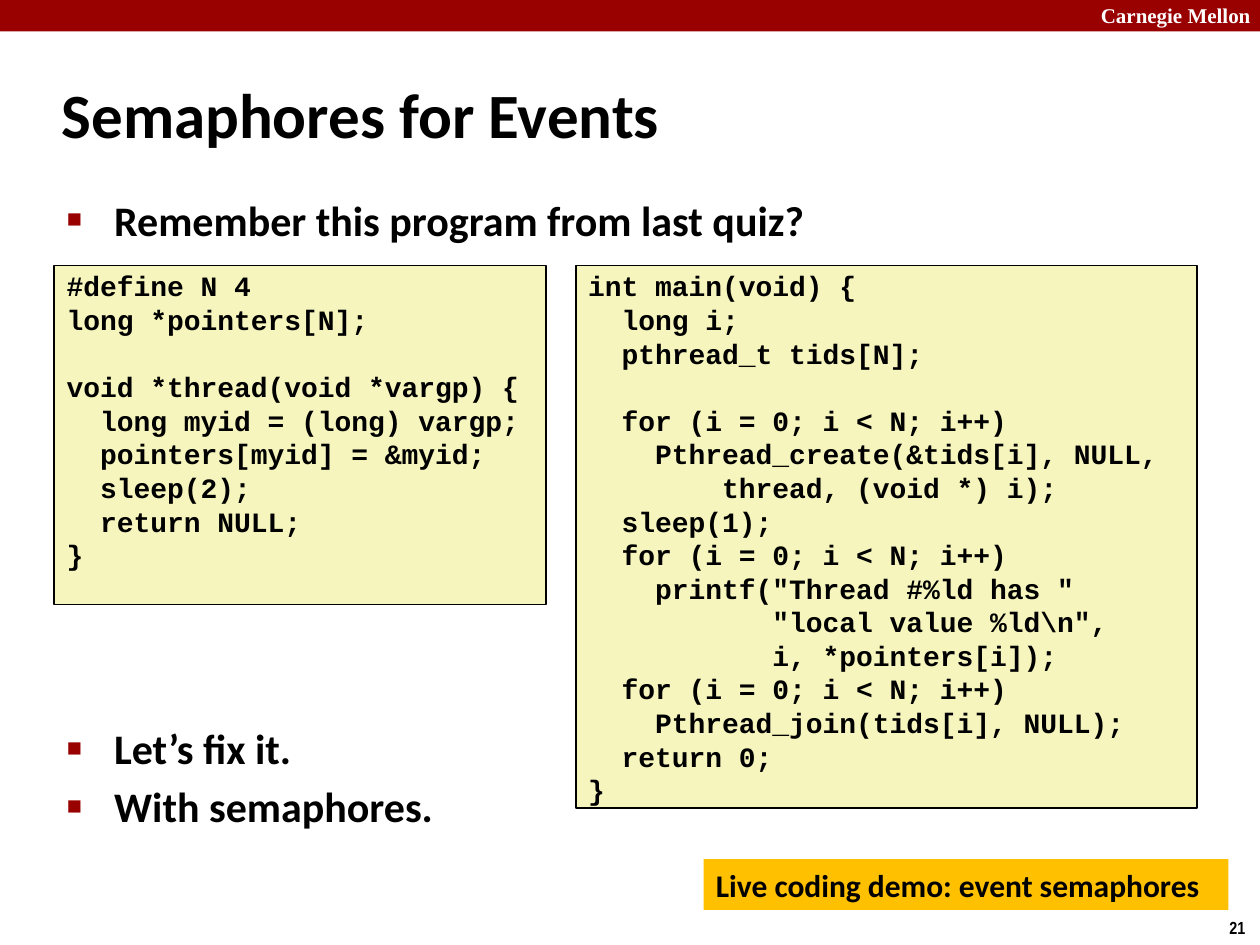
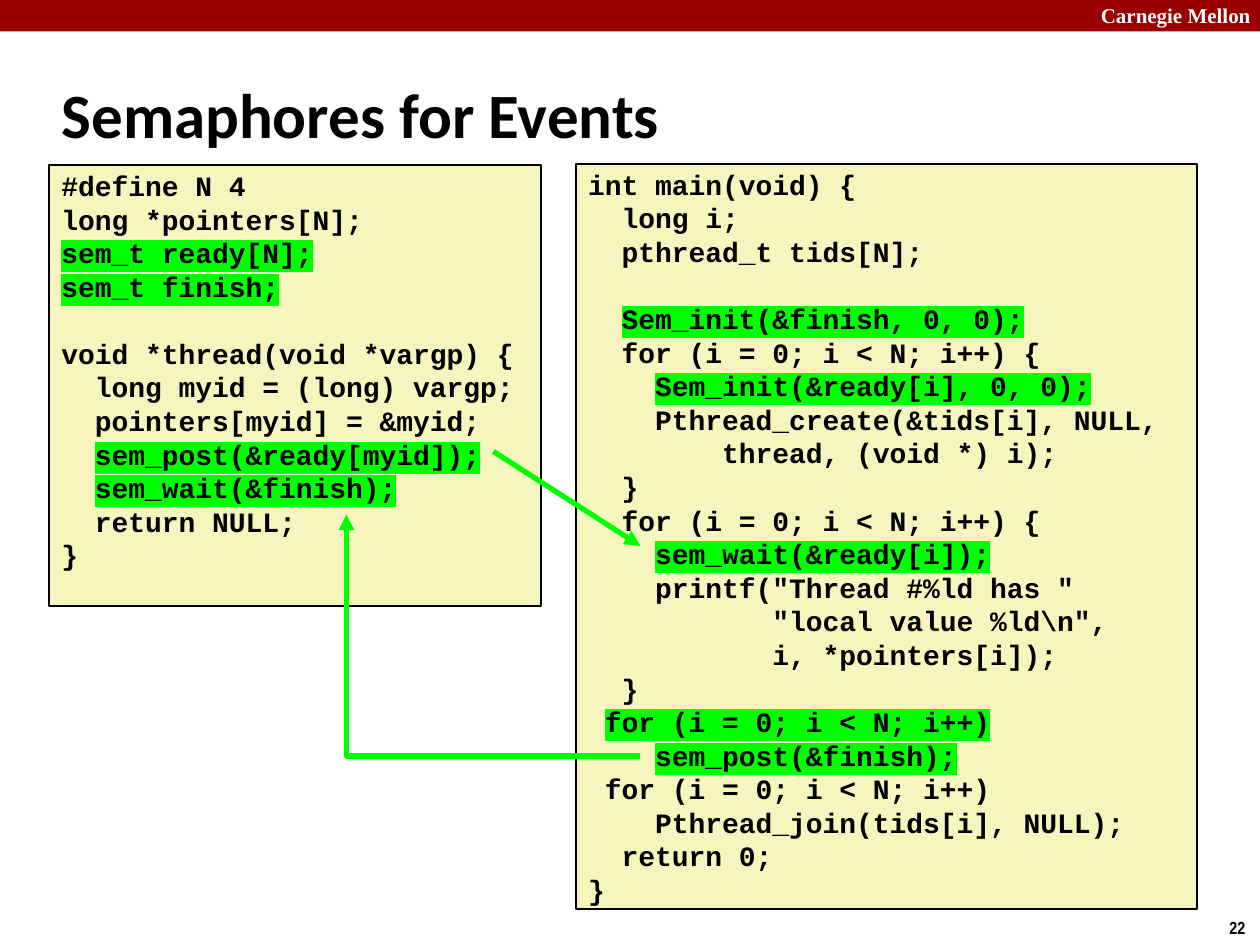
import pptx
import pptx.dml.color
import pptx.enum.shapes
import pptx.enum.text
import pptx.oxml
import pptx.oxml.ns
import pptx.util

Pt = pptx.util.Pt
qn = pptx.oxml.ns.qn
SHAPE = pptx.enum.shapes.MSO_SHAPE.RECTANGLE
LINK = pptx.enum.shapes.MSO_CONNECTOR
ANCHOR = pptx.enum.text.MSO_ANCHOR
NONE = pptx.enum.text.MSO_AUTO_SIZE.NONE
LEFT = pptx.enum.text.PP_ALIGN.LEFT

RED, CREAM, GOLD, GREEN = "990000", "F6F5BD", "FFC000", "00FF00"
BLACK, WHITE = "000000", "FFFFFF"

HEAD = {"name": "Calibri", "size": Pt(36), "bold": True}
LIST = {"name": "Calibri", "size": Pt(24), "bold": True}
DEMO = {"name": "Calibri", "size": Pt(18), "bold": True}
CODE = {"name": "Courier New", "size": Pt(16), "bold": True}
MARK = {"name": "Times New Roman", "size": Pt(12), "bold": True}
PAGE = {"name": "Arial Narrow", "size": Pt(10), "bold": True}

TITLE = "Semaphores for Events"

THREAD = """#define N 4
long *pointers[N];

void *thread(void *vargp) {
  long myid = (long) vargp;
  pointers[myid] = &myid;
  sleep(2);
  return NULL;
}"""

MAIN = r"""int main(void) {
  long i;
  pthread_t tids[N];

  for (i = 0; i < N; i++)
    Pthread_create(&tids[i], NULL,
        thread, (void *) i);
  sleep(1);
  for (i = 0; i < N; i++)
    printf("Thread #%ld has "
           "local value %ld\n",
           i, *pointers[i]);
  for (i = 0; i < N; i++)
    Pthread_join(tids[i], NULL);
  return 0;
}"""

THREAD_SEM = """#define N 4
long *pointers[N];
@sem_t ready[N];
@sem_t finish;

void *thread(void *vargp) {
  long myid = (long) vargp;
  pointers[myid] = &myid;
  @sem_post(&ready[myid]);
  @sem_wait(&finish);
  return NULL;
}"""

MAIN_SEM = r"""int main(void) {
  long i;
  pthread_t tids[N];

  @Sem_init(&finish, 0, 0);
  for (i = 0; i < N; i++) {
    @Sem_init(&ready[i], 0, 0);
    Pthread_create(&tids[i], NULL,
        thread, (void *) i);
  }
  for (i = 0; i < N; i++) {
    @sem_wait(&ready[i]);
    printf("Thread #%ld has "
           "local value %ld\n",
           i, *pointers[i]);
  }
 @for (i = 0; i < N; i++)
    @sem_post(&finish);
 for (i = 0; i < N; i++)
    Pthread_join(tids[i], NULL);
  return 0;
}"""


def paint(target, tone):
    """Give a fill, line or font colour format a solid hex colour."""
    if hasattr(target, "solid"):
        target.solid()
        target = target.fore_color
    else:
        target = target.color
    target.rgb = pptx.dml.color.RGBColor.from_string(tone)


def style(font, look, tone=BLACK):
    """Apply a dict of font values and a colour."""
    for key, value in look.items():
        setattr(font, key, value)
    paint(font, tone)


def write(para, text, look, tone=BLACK):
    """Add one styled run to a paragraph."""
    run = para.add_run()
    run.text = text
    style(run.font, look, tone)
    return run


def place(shape, box):
    """Move a shape to a box of left, top, width and height in points."""
    for key, value in zip(("left", "top", "width", "height"), box):
        setattr(shape, key, Pt(value))


def frame(shape, **extra):
    """Prepare a text frame and return its first paragraph."""
    look = {"word_wrap": True, "auto_size": NONE, "vertical_anchor": ANCHOR.TOP}
    for key, value in {**look, **extra}.items():
        setattr(shape.text_frame, key, value)
    para = shape.text_frame.paragraphs[0]
    para.alignment = LEFT
    return para


def panel(slide, box, tone, edge=None):
    """Draw a flat filled rectangle, with an edge if one is given."""
    shape = slide.shapes.add_shape(SHAPE, *map(Pt, box))
    shape.shadow.inherit = False
    paint(shape.fill, tone)
    if edge:
        paint(shape.line, edge)
        shape.line.width = Pt(1)
    else:
        shape.line.fill.background()
    return shape


def label(slide, box, text, look, tone=BLACK, wrap=True):
    """Add a one-line text box."""
    shape = slide.shapes.add_textbox(*map(Pt, box))
    write(frame(shape, word_wrap=wrap), text, look, tone)


def base(deck, layout, page):
    """Start a slide with its band, mark, page number and title."""
    slide = deck.slides.add_slide(deck.slide_layouts[layout])
    panel(slide, (0, 0, 720, 18), RED)
    label(slide, (622, -2.2, 103, 21.6), "Carnegie Mellon", MARK, WHITE)
    label(slide, (695.5, 520.5, 24.5, 19.5), str(page), PAGE, wrap=False)
    title = slide.shapes.title
    place(title, (28, 34.5, 598, 60))
    write(frame(title, vertical_anchor=ANCHOR.MIDDLE), TITLE, HEAD)
    return slide


def bullet(para):
    """Give a paragraph a small red square bullet and hanging indent."""
    props = para._p.get_or_add_pPr()
    props.set("marL", str(Pt(27)))
    props.set("indent", str(-Pt(27)))
    color = pptx.oxml.ns.nsdecls("a")
    for part in (
        f'<a:buClr {color}><a:srgbClr val="{RED}"/></a:buClr>',
        f'<a:buSzPct {color} val="60000"/>',
        f'<a:buChar {color} char="■"/>',
    ):
        props.append(pptx.oxml.parse_xml(part))


def points(slide, box, items):
    """Fill the body with bullets, each a text and its space before."""
    body = slide.placeholders[1]
    place(body, box)
    para = frame(body)
    for rank, (text, gap) in enumerate(items):
        if rank:
            para = body.text_frame.add_paragraph()
        bullet(para)
        para.space_before = Pt(gap)
        write(para, text, LIST)


def glow(run):
    """Put a green highlight behind a run."""
    props = run._r.get_or_add_rPr()
    mark = pptx.oxml.parse_xml(
        f'<a:highlight {pptx.oxml.ns.nsdecls("a")}>'
        f'<a:srgbClr val="{GREEN}"/></a:highlight>')
    props.find(qn("a:latin")).addprevious(mark)


def code(slide, box, text):
    """Show a code listing; what follows @ on a line is highlighted."""
    shape = panel(slide, box, CREAM, BLACK)
    para = frame(shape, margin_top=Pt(2), margin_bottom=0)
    for rank, row in enumerate(text.split("\n")):
        if rank:
            para = shape.text_frame.add_paragraph()
        para.alignment = LEFT
        para.line_spacing = Pt(19.2)
        style(para.font, CODE)
        plain, _, new = row.partition("@")
        if plain:
            write(para, plain, CODE)
        if new:
            glow(write(para, new, CODE))


def arrow(slide, kind, start, end):
    """Draw a green arrow; an elbow turns right under its end."""
    line = slide.shapes.add_connector(kind, *map(Pt, start + end))
    paint(line.line, GREEN)
    line.line.width = Pt(3)
    space = pptx.oxml.ns.nsdecls("a")
    line.line._get_or_add_ln().append(
        pptx.oxml.parse_xml(f'<a:tailEnd {space} type="triangle"/>'))
    props = line._element.spPr
    props.append(pptx.oxml.parse_xml(f"<a:effectLst {space}/>"))
    if kind == LINK.ELBOW:
        geom = props.find(qn("a:prstGeom"))
        for old in list(geom):
            geom.remove(old)
        geom.append(pptx.oxml.parse_xml(
            f'<a:avLst {space}><a:gd name="adj1" fmla="val 100000"/></a:avLst>'))


def quiz(deck):
    """Build the slide with the quiz program."""
    slide = base(deck, 1, 21)
    points(slide, (31, 107.3, 622, 392), [
        ("Remember this program from last quiz?", 0),
        ("Let’s fix it.", 273),
        ("With semaphores.", 4.3),
    ])
    code(slide, (31, 151.7, 281, 193.7), THREAD)
    code(slide, (329, 151.7, 355, 310), MAIN)
    demo = panel(slide, (402, 491, 300, 29), GOLD)
    para = frame(demo, vertical_anchor=ANCHOR.MIDDLE)
    write(para, "Live coding demo: event semaphores", DEMO)


def fixed(deck):
    """Build the slide with the program fixed by semaphores."""
    slide = base(deck, 5, 22)
    code(slide, (28, 94.3, 281, 252), THREAD_SEM)
    code(slide, (329, 93.6, 355, 426), MAIN_SEM)
    arrow(slide, LINK.STRAIGHT, (282, 258), (366, 312))
    arrow(slide, LINK.ELBOW, (366, 432), (198, 294))


def main():
    """Build and save the deck."""
    deck = pptx.Presentation()
    deck.slide_width, deck.slide_height = Pt(720), Pt(540)
    quiz(deck)
    fixed(deck)
    deck.save("out.pptx")


if __name__ == "__main__":
    main()
